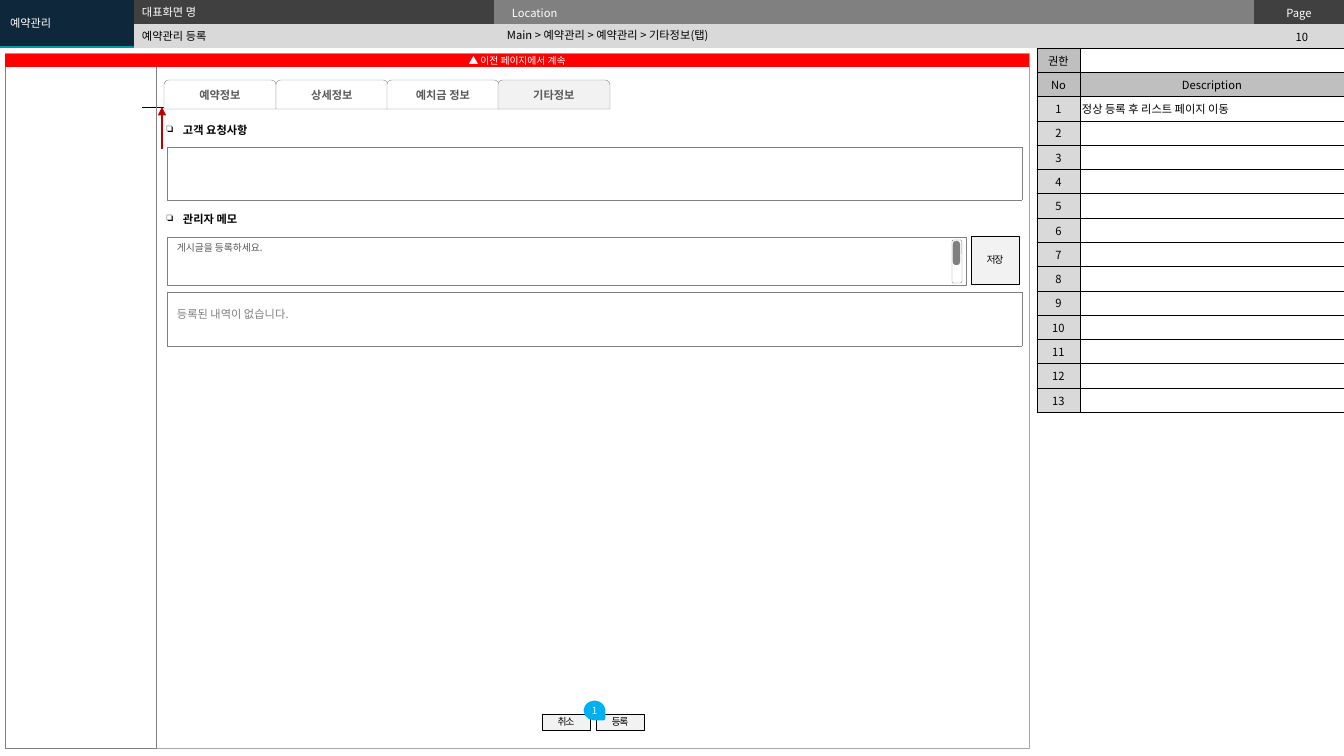
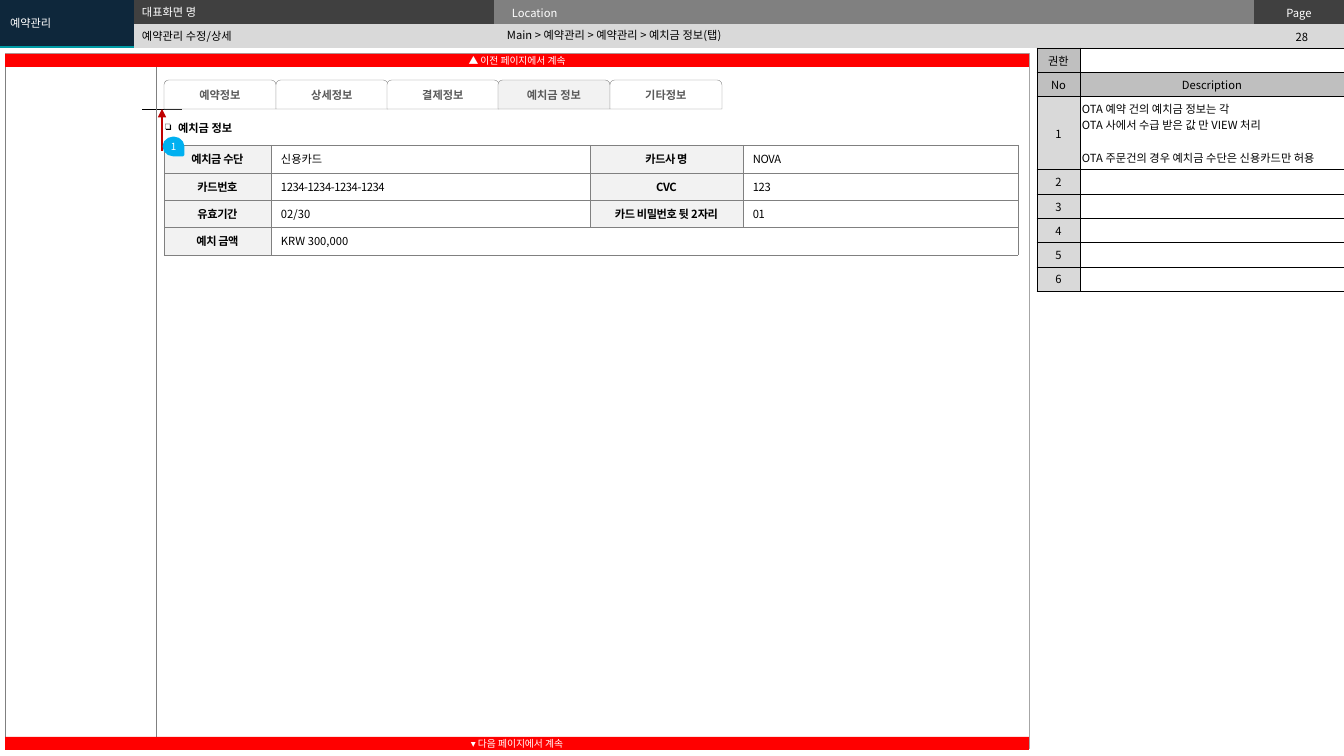
import pptx
import pptx.dml.color
import pptx.enum.shapes
import pptx.enum.text
import pptx.oxml.ns
import pptx.util
from lxml import etree

PX = 12192000 / 1344
FONT = "Noto Sans CJK KR"
NO_GRID_STYLE = "{2D5ABB26-0587-4C30-8999-92F81FD0307C}"

RGBColor = pptx.dml.color.RGBColor
BLACK = RGBColor(0x00, 0x00, 0x00)
WHITE = RGBColor(0xFF, 0xFF, 0xFF)
NAVY = RGBColor(0x0E, 0x27, 0x3B)
TEAL = RGBColor(0x00, 0x9C, 0xA6)
CHARCOAL = RGBColor(0x40, 0x40, 0x40)
SLATE = RGBColor(0x59, 0x59, 0x59)
GRAY = RGBColor(0x80, 0x80, 0x80)
FRAME_GRAY = RGBColor(0xA6, 0xA6, 0xA6)
HEAD_GRAY = RGBColor(0xBF, 0xBF, 0xBF)
LIGHT_GRAY = RGBColor(0xD9, 0xD9, 0xD9)
PALE_GRAY = RGBColor(0xF2, 0xF2, 0xF2)
RED = RGBColor(0xFF, 0x00, 0x00)
DARK_RED = RGBColor(0xC0, 0x00, 0x00)
SKY = RGBColor(0x00, 0xB0, 0xF0)

SHAPE = pptx.enum.shapes.MSO_SHAPE
RECTANGLE = SHAPE.RECTANGLE
ALIGN = pptx.enum.text.PP_ALIGN
ANCHOR = pptx.enum.text.MSO_ANCHOR
qn = pptx.oxml.ns.qn

# Text formats; each one is laid over BASE
BASE = {"size": 8, "color": BLACK, "bold": False, "align": ALIGN.LEFT,
        "anchor": ANCHOR.MIDDLE, "margins": (10, 5), "tracking": 0,
        "line_spacing": 1.0, "bullet_indent": 0, "last_gap": 0}
CENTERED = {"align": ALIGN.CENTER}
LIGHT = {"color": WHITE}
BAR_TEXT = {"size": 7, "color": WHITE, "align": ALIGN.CENTER, "margins": (0, 0)}
BUTTON_TEXT = {"size": 7, "align": ALIGN.CENTER, "margins": (0, 0), "tracking": -90}
TAB_TEXT = {"color": SLATE, "bold": True, "align": ALIGN.CENTER}
HEADER_TEXT = {"color": WHITE, "margins": (18, 4)}
NOTE_HEAD = {"align": ALIGN.CENTER, "margins": (2, 4)}
NOTE_BODY = {"anchor": ANCHOR.TOP, "margins": (2, 4), "last_gap": 11.6}
LABEL = {"bold": True, "align": ALIGN.CENTER, "tracking": -30}
TIGHT = {"tracking": -30}


def px(length):
    return round(length * PX)


def write_text(holder, text_frame, text, style):
    """Fill a text frame; holder (a cell or the frame) takes margins and anchor."""
    style = {**BASE, **style}
    side, end = (px(margin) for margin in style["margins"])
    for name, value in {"margin_left": side, "margin_right": side, "margin_top": end,
                        "margin_bottom": end, "vertical_anchor": style["anchor"],
                        "word_wrap": True}.items():
        setattr(holder, name, value)
    lines = text.split("\n")
    for index, line in enumerate(lines):
        paragraph = text_frame.paragraphs[0] if index == 0 else text_frame.add_paragraph()
        paragraph.alignment = style["align"]
        paragraph.line_spacing = style["line_spacing"]
        if index and index == len(lines) - 1:
            paragraph.space_before = pptx.util.Pt(style["last_gap"])
        if style["bullet_indent"]:
            properties = paragraph._p.get_or_add_pPr()
            indent = px(style["bullet_indent"])
            properties.set("marL", str(indent))
            properties.set("indent", str(-indent))
            etree.SubElement(properties, qn("a:buChar"), char="❏")
        if not line:
            etree.SubElement(paragraph._p, qn("a:endParaRPr"), sz="800")
            continue
        run = paragraph.add_run()
        run.text = line
        for name, value in {"name": FONT, "size": pptx.util.Pt(style["size"]),
                            "bold": style["bold"]}.items():
            setattr(run.font, name, value)
        run.font.color.rgb = style["color"]
        properties = run._r.get_or_add_rPr()
        properties.set("spc", str(style["tracking"]))
        etree.SubElement(properties, qn("a:ea"), typeface=FONT)


# Content of the two screens; a grid cell is (text, fill, format)
# a grid is (left, top, widths, heights, border, cells, merged ranges)
# a box is (kind, left, top, width, height, fill, line, text, format)
blank_cell = ("", WHITE, {})
request_grids = [
    (167, 147, [855], [53], (GRAY, 0.25), [[blank_cell]], []),
    (167, 292, [855], [54], (GRAY, 0.25),
     [[("등록된 내역이 없습니다.", WHITE,
        {"color": GRAY, "anchor": ANCHOR.TOP, "line_spacing": 1.5})]], []),
]
request_boxes = [
    (None, 157, 118, 340, 24, None, None, "고객 요청사항", {"bold": True, "bullet_indent": 16}),
    (None, 157, 207, 340, 24, None, None, "관리자 메모", {"bold": True, "bullet_indent": 16}),
    (RECTANGLE, 167, 237, 799, 48, None, GRAY, "게시글을 등록하세요.",
     {"size": 7, "color": SLATE, "anchor": ANCHOR.TOP}),
    (RECTANGLE, 971, 236, 48, 48, PALE_GRAY, BLACK, "저장", BUTTON_TEXT),
    (SHAPE.ROUNDED_RECTANGLE, 952, 240, 10, 43, None, GRAY, "", {}),
    (SHAPE.ROUNDED_RECTANGLE, 953, 241, 7, 24, GRAY, GRAY, "", {}),
    (RECTANGLE, 542, 714, 48, 16, PALE_GRAY, BLACK, "취소", BUTTON_TEXT),
    (RECTANGLE, 596, 714, 48, 16, PALE_GRAY, BLACK, "등록", BUTTON_TEXT),
]
deposit_rows = [
    [("예치금 수단", LABEL), ("신용카드", {}), ("카드사 명", LABEL), ("NOVA", TIGHT)],
    [("카드번호", LABEL), ("1234-1234-1234-1234", TIGHT), ("CVC", LABEL), ("123", TIGHT)],
    [("유효기간", LABEL), ("02/30", {}), ("카드 비밀번호 뒷 2자리", LABEL), ("01", TIGHT)],
    [("예치 금액", LABEL), ("KRW 300,000", {}), ("", {}), ("", {})],
]
deposit_cells = [[(text, PALE_GRAY if style is LABEL else WHITE, style)
                  for text, style in row] for row in deposit_rows]
screens = [
    {
        "title": "예약관리 등록", "page": "10",
        "location": "Main > 예약관리 > 예약관리 > 기타정보(탭)",
        "note": "정상 등록 후 리스트 페이지 이동", "note_height": 24, "note_count": 13,
        "tabs": ["예약정보", "상세정보", "예치금 정보", "기타정보"], "active": "기타정보",
        "rule_y": 107, "arrow_y": 149, "callout": (586, 701),
        "grids": request_grids, "boxes": request_boxes,
    },
    {
        "title": "예약관리 수정/상세", "page": "28",
        "location": "Main > 예약관리 > 예약관리 > 예치금 정보(탭)",
        "note": "OTA 예약 건의 예치금 정보는 각\nOTA 사에서 수급 받은 값 만 VIEW 처리\n"
                "OTA 주문건의 경우 예치금 수단은 신용카드만 허용",
        "note_height": 73, "note_count": 6,
        "tabs": ["예약정보", "상세정보", "결제정보", "예치금 정보", "기타정보"],
        "active": "예치금 정보",
        "rule_y": 109, "arrow_y": 151, "callout": (165, 137),
        "grids": [(164, 145, [107, 319, 153, 275], [28, 27, 27, 28], (GRAY, 0.25),
                   deposit_cells, [(3, 1, 3, 3)])],
        "boxes": [
            (None, 155, 116, 340, 24, None, None, "예치금 정보",
             {"bold": True, "bullet_indent": 13}),
            (RECTANGLE, 5, 737, 1024, 13, RED, None, "▾ 다음 페이지에서 계속", BAR_TEXT),
        ],
    },
]

# Header band shared by both slides
header_cells = [
    [("", TEAL, {}), ("", CHARCOAL, {}), ("Location", GRAY, HEADER_TEXT),
     ("Page", CHARCOAL, {**HEADER_TEXT, **CENTERED})],
    [("", TEAL, {})] + [("", LIGHT_GRAY, {"margins": (10, 3)})] * 3,
]
header_grid = (0, 0, [134, 360, 760, 90], [24, 24], None, header_cells, [(0, 0, 1, 0)])

presentation = pptx.Presentation()
presentation.slide_width = px(1344)
presentation.slide_height = px(756)

for screen in screens:
    slide = presentation.slides.add_slide(presentation.slide_layouts[6])

    # Description panel
    note_cells = [
        [("권한", HEAD_GRAY, NOTE_HEAD), ("", WHITE, NOTE_BODY)],
        [("No", HEAD_GRAY, NOTE_HEAD), ("Description", HEAD_GRAY, NOTE_HEAD)],
    ]
    for number in range(1, screen["note_count"] + 1):
        note = screen["note"] if number == 1 else ""
        note_cells.append([(str(number), LIGHT_GRAY, NOTE_HEAD), (note, WHITE, NOTE_BODY)])
    note_heights = [24, 24, screen["note_height"]] + [24] * (screen["note_count"] - 1)
    note_grid = (1037, 48, [43, 264], note_heights, (BLACK, 0.5), note_cells, [])

    # Tables
    for left, top, widths, heights, border, cells, merges in [
            header_grid, note_grid, *screen["grids"]]:
        table = slide.shapes.add_table(
            len(heights), len(widths), px(left), px(top),
            px(sum(widths)), px(sum(heights))).table
        table.first_row = table.horz_banding = False
        table._tbl.tblPr.find(qn("a:tableStyleId")).text = NO_GRID_STYLE
        for column, width in zip(table.columns, widths):
            column.width = px(width)
        for row, height in zip(table.rows, heights):
            row.height = px(height)
        for first_row, first_column, last_row, last_column in merges:
            table.cell(first_row, first_column).merge(table.cell(last_row, last_column))
        for row_index, row_cells in enumerate(cells):
            for column_index, (text, fill, style) in enumerate(row_cells):
                cell = table.cell(row_index, column_index)
                if cell.is_spanned:
                    continue
                write_text(cell, cell.text_frame, text, style)
                if border:
                    for edge in ("a:lnL", "a:lnR", "a:lnT", "a:lnB"):
                        line = etree.SubElement(cell._tc.get_or_add_tcPr(), qn(edge),
                                                w=str(pptx.util.Pt(border[1])))
                        paint = etree.SubElement(line, qn("a:solidFill"))
                        etree.SubElement(paint, qn("a:srgbClr"), val=str(border[0]))
                cell.fill.solid()
                cell.fill.fore_color.rgb = fill

    # Rule under the tabs and the arrow pointing up to it
    rule_y = screen["rule_y"]
    for start, finish, color, weight in [
            ((182, rule_y), (142, rule_y), BLACK, 0.5),
            ((162, screen["arrow_y"]), (162, rule_y), DARK_RED, 1)]:
        connector = slide.shapes.add_connector(
            pptx.enum.shapes.MSO_CONNECTOR.STRAIGHT, *map(px, start + finish))
        connector.line.color.rgb = color
        connector.line.width = pptx.util.Pt(weight)
        if color == DARK_RED:
            etree.SubElement(connector.line._get_or_add_ln(), qn("a:tailEnd"), type="triangle")
        etree.SubElement(connector._element.spPr, qn("a:effectLst"))

    # Frame, header texts, tabs, screen content and callout
    tabs = [(SHAPE.ROUND_2_SAME_RECTANGLE, round(164 + 111.5 * index), 80, 112, 29,
             PALE_GRAY if name == screen["active"] else WHITE, GRAY, name, TAB_TEXT)
            for index, name in enumerate(screen["tabs"])]
    boxes = [
        (RECTANGLE, 5, 53, 1024, 695, None, FRAME_GRAY, "", {}),
        (RECTANGLE, 5, 55, 151, 693, None, GRAY, "", {}),
        (RECTANGLE, 0, 0, 134, 46, NAVY, None, "예약관리", LIGHT),
        (None, 132, 0, 365, 24, None, None, "대표화면 명", LIGHT),
        (None, 132, 24, 365, 24, None, None, screen["title"], {}),
        (None, 497, 23, 744, 24, None, None, screen["location"], {}),
        (None, 1258, 25, 88, 24, None, None, screen["page"], CENTERED),
        (RECTANGLE, 5, 54, 1024, 13, RED, None, "▲ 이전 페이지에서 계속", BAR_TEXT),
        *tabs, *screen["boxes"],
        (SHAPE.TEAR, *screen["callout"], 17, 19, SKY, SKY, "1", BAR_TEXT),
    ]
    for kind, left, top, width, height, fill, outline, text, style in boxes:
        place = [px(length) for length in (left, top, width, height)]
        if kind is None:
            shape = slide.shapes.add_textbox(*place)
        else:
            shape = slide.shapes.add_shape(kind, *place)
            shape.shadow.inherit = False
            shape.fill.background()
            shape.line.fill.background()
        if fill is not None:
            shape.fill.solid()
            shape.fill.fore_color.rgb = fill
        if outline is not None:
            shape.line.color.rgb = outline
            shape.line.width = pptx.util.Pt(2 if kind == SHAPE.TEAR else 0.25)
        if kind == SHAPE.ROUNDED_RECTANGLE and fill is not None:
            shape.adjustments[0] = 0.5
        if text:
            write_text(shape.text_frame, shape.text_frame, text, style)
        if kind == SHAPE.TEAR:
            shape.rotation = 90
            shape.text_frame._txBody.bodyPr.set("vert", "vert270")

presentation.save("out.pptx")
